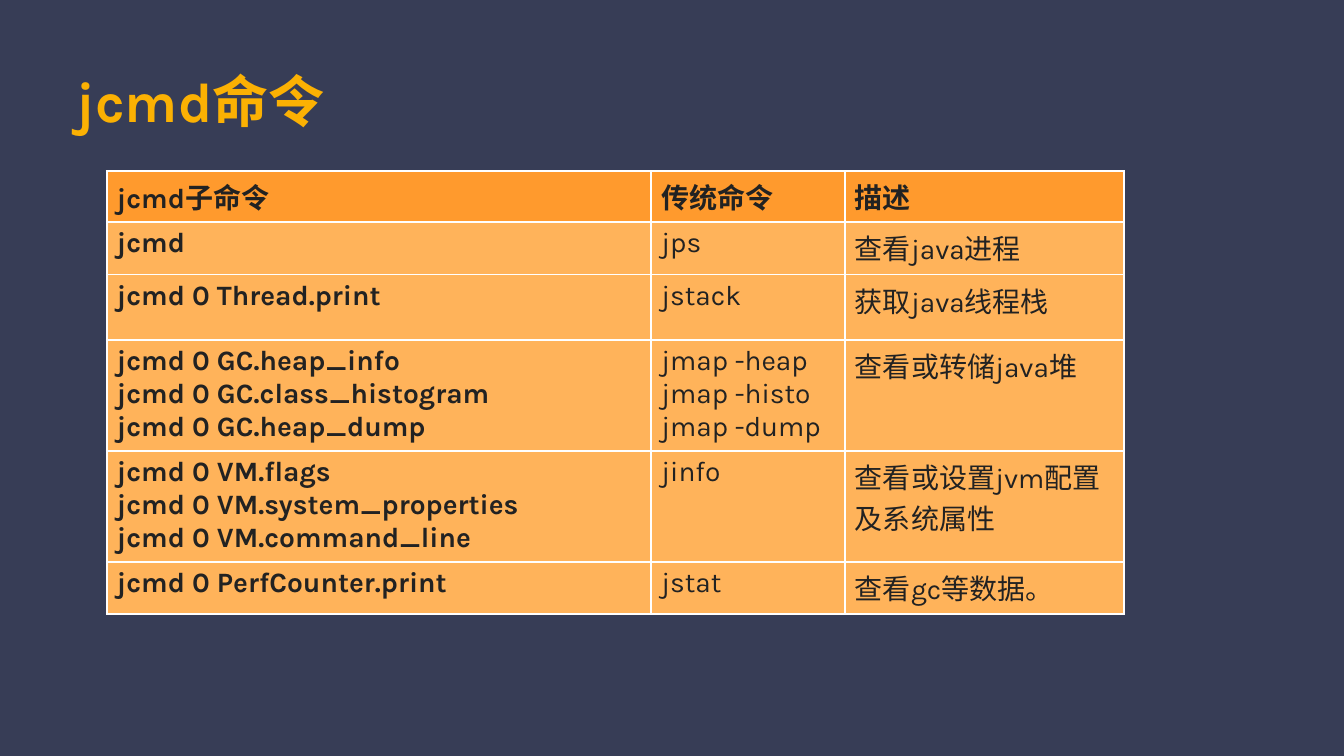
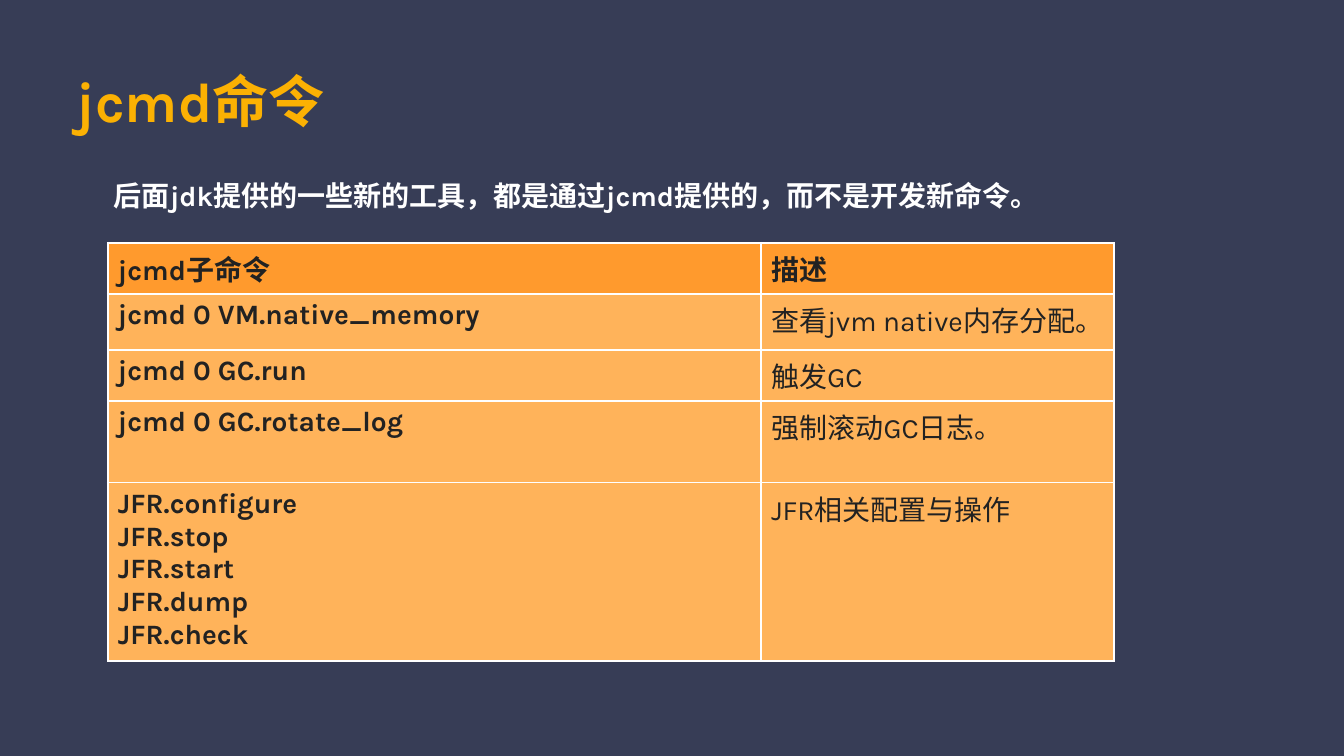
from lxml import etree
from pptx import Presentation
from pptx.dml.color import RGBColor
from pptx.enum.text import MSO_ANCHOR, MSO_AUTO_SIZE, PP_ALIGN
from pptx.oxml.ns import qn
from pptx.util import Inches, Pt

LEFT, MIDDLE, FIXED = PP_ALIGN.LEFT, MSO_ANCHOR.MIDDLE, MSO_AUTO_SIZE.NONE
NAVY = RGBColor(0x37, 0x3D, 0x56)
GOLD = RGBColor(0xFB, 0xB1, 0x03)
INK = RGBColor(0x22, 0x22, 0x22)
WHITE = RGBColor(0xFF, 0xFF, 0xFF)
HEAD = RGBColor(0xFF, 0x9A, 0x2D)
BODY = RGBColor(0xFF, 0xB3, 0x5A)
FONT = "Karla"

SLIDES = [
    {
        "title": "jcmd命令",
        "at": (1.06, 1.7),
        "cols": (5.4, 1.92, 2.77),
        "heights": (0.5, 0.52, 0.65, 1.1, 1.1, 0.52),
        "rows": [
            ("jcmd子命令", "传统命令", "描述"),
            ("jcmd", "jps", "查看java进程"),
            ("jcmd 0 Thread.print", "jstack", "获取java线程栈"),
            ("jcmd 0 GC.heap_info\njcmd 0 GC.class_histogram\njcmd 0 GC.heap_dump",
             "jmap -heap\njmap -histo\njmap -dump", "查看或转储java堆"),
            ("jcmd 0 VM.flags\njcmd 0 VM.system_properties\njcmd 0 VM.command_line",
             "jinfo", "查看或设置jvm配置及系统属性"),
            ("jcmd 0 PerfCounter.print", "jstat", "查看gc等数据。"),
        ],
    },
    {
        "title": "jcmd命令",
        "lead": "后面jdk提供的一些新的工具，都是通过jcmd提供的，而不是开发新命令。",
        "at": (1.07, 2.41),
        "cols": (6.48, 3.5),
        "heights": (0.43, 0.56, 0.44, 0.81, 1.77),
        "rows": [
            ("jcmd子命令", "描述"),
            ("jcmd 0 VM.native_memory", "查看jvm native内存分配。"),
            ("jcmd 0 GC.run", "触发GC"),
            ("jcmd 0 GC.rotate_log", "强制滚动GC日志。"),
            ("JFR.configure\nJFR.stop\nJFR.start\nJFR.dump\nJFR.check",
             "JFR相关配置与操作"),
        ],
    },
]


def write(frame, text, size, color, bold):
    frame.text = text
    for para in frame.paragraphs:
        para.alignment = LEFT
        font = para.font
        font.name, font.size, font.bold = FONT, Pt(size), bold
        font.color.rgb = color


def set_frame(frame, inset):
    frame.word_wrap = True
    frame.auto_size = FIXED
    frame.vertical_anchor = MIDDLE
    frame.margin_left = frame.margin_right = Inches(inset)
    frame.margin_top = frame.margin_bottom = Inches(inset)


def add_border(cell):
    """Draw a white line on all four sides; lines must precede the fill."""
    props = cell._tc.get_or_add_tcPr()
    for i, side in enumerate(("lnL", "lnR", "lnT", "lnB")):
        line = etree.Element(qn("a:" + side), w=str(Pt(1.5)))
        fill = etree.SubElement(line, qn("a:solidFill"))
        etree.SubElement(fill, qn("a:srgbClr"), val=str(WHITE))
        props.insert(i, line)


def add_grid(slide, at, cols, heights, rows):
    x, y = at
    table = slide.shapes.add_table(
        len(rows), len(cols), Inches(x), Inches(y),
        Inches(sum(cols)), Inches(sum(heights))).table
    for col, width in zip(table.columns, cols):
        col.width = Inches(width)
    for r, (row, height) in enumerate(zip(rows, heights)):
        table.rows[r].height = Inches(height)
        for c, text in enumerate(row):
            cell = table.cell(r, c)
            cell.fill.solid()
            cell.fill.fore_color.rgb = BODY if r else HEAD
            add_border(cell)
            write(cell.text_frame, text, 20, INK, r == 0 or c == 0)


def add_lead(slide, text):
    box = slide.shapes.add_textbox(
        Inches(1.07), Inches(1.71), Inches(11.56), Inches(0.45))
    set_frame(box.text_frame, 0.06)
    write(box.text_frame, text, 20, WHITE, True)


def main():
    prs = Presentation()
    prs.slide_width, prs.slide_height = Inches(13.33), Inches(7.5)
    back = prs.slide_master.background.fill
    back.solid()
    back.fore_color.rgb = NAVY
    layout = prs.slide_layouts.get_by_name("Title Only")
    head = layout.placeholders[0]
    head.left, head.top = Inches(0.68), Inches(0.52)
    head.width, head.height = Inches(11.64), Inches(0.94)

    for data in SLIDES:
        slide = prs.slides.add_slide(layout)
        title = slide.shapes.title.text_frame
        set_frame(title, 0.08)
        write(title, data["title"], 40, GOLD, True)
        add_grid(slide, data["at"], data["cols"], data["heights"], data["rows"])
        if "lead" in data:
            add_lead(slide, data["lead"])
    prs.save("out.pptx")


if __name__ == "__main__":
    main()
